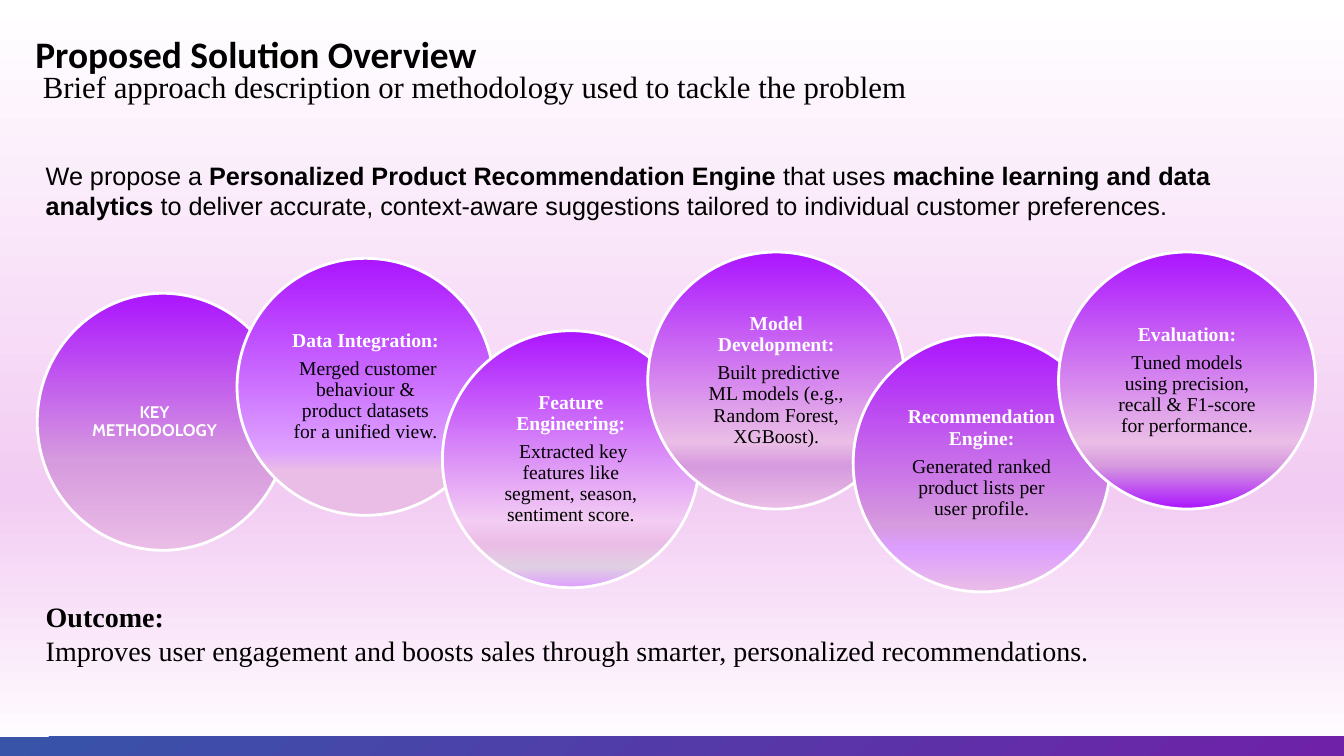
from lxml import etree
from pptx import Presentation
from pptx.dml.color import RGBColor
from pptx.enum import shapes, text
from pptx.oxml.ns import qn
from pptx.util import Pt


def color(value):
    return RGBColor.from_string(value)


def set_gradient(owner, stops, angle):
    """Fill a shape or background; angle runs clockwise, 90 from top to bottom."""
    owner.fill.gradient()
    owner.fill.gradient_angle = (360 - angle) % 360
    stop_list = next(owner._element.iter(qn("a:gsLst")))
    for old_stop in list(stop_list):
        stop_list.remove(old_stop)
    for percent, value in stops:
        stop = etree.SubElement(stop_list, qn("a:gs"), pos=str(percent * 1000))
        etree.SubElement(stop, qn("a:srgbClr"), val=value)


deck = Presentation()
deck.slide_width, deck.slide_height = Pt(960), Pt(540)
page = deck.slides.add_slide(deck.slide_layouts[5])
set_gradient(page.background, [(0, "FFFFFF"), (35, "F3CCF3"), (100, "FFFFFF")], 270)

bar = page.shapes.add_shape(shapes.MSO_SHAPE.RECTANGLE, Pt(0), Pt(526.3), Pt(960), Pt(13.7))
bar.shadow.inherit = False
bar.line.fill.background()
set_gradient(bar, [(0, "3754A9"), (100, "6F21A8")], 45)

# Title and subtitle
title = page.shapes.title
title.left, title.top, title.width, title.height = Pt(25.2), Pt(28.1), Pt(885), Pt(67)
frame = title.text_frame
frame.text = "Proposed Solution Overview\n Brief approach description or methodology used to tackle the problem"
frame.auto_size = text.MSO_AUTO_SIZE.NONE
frame.vertical_anchor = text.MSO_ANCHOR.TOP
frame.margin_left = frame.margin_top = frame.margin_bottom = 0
frame.margin_right = Pt(9.4)
title_fonts = [("Calibri", 26.7, True), ("Times New Roman", 22, False)]
for para, (name, size, bold) in zip(frame.paragraphs, title_fonts):
    para.alignment = text.PP_ALIGN.LEFT
    para.line_spacing = 0.8
    para.font.name, para.font.size, para.font.bold = name, Pt(size), bold
    para.font.color.rgb = color("000000")

# Chain of overlapping circles: top, gradient stops, heading, detail
steps = [
    (209.5, [(0, "AB15FF"), (65, "D69ADE"), (100, "EABDE6")], "KEY METHODOLOGY", None),
    (184.5, [(0, "AB15FF"), (74, "DD9FFF"), (83, "EABDE6"), (100, "EABDE6")],
     "Data Integration:", " Merged customer behaviour & product datasets for a unified view."),
    (236.2, [(0, "AB15FF"), (74, "F3CCF3"), (83, "EABDE6"), (92, "E0CFE3"), (100, "DD9FFF")],
     "Feature Engineering:", " Extracted key features like segment, season, sentiment score."),
    (180, [(0, "AB15FF"), (74, "EABDE6"), (83, "D69ADE"), (100, "EABDE6")],
     "Model Development:", " Built predictive ML models (e.g., Random Forest, XGBoost)."),
    (239.2, [(0, "AB15FF"), (74, "D69ADE"), (83, "DD9FFF"), (100, "EABDE6")],
     "Recommendation Engine:", "Generated ranked product lists per user profile."),
    (180, [(0, "AB15FF"), (74, "EABDE6"), (83, "D69ADE"), (100, "AB15FF")],
     "Evaluation:", "Tuned models using precision, recall & F1-score for performance."),
]
diameter, first_left, second_left, pitch = 183.6, 26.6, 169.3, 146.7
for index, (top, stops, heading, detail) in enumerate(steps):
    left = second_left + (index - 1) * pitch if index else first_left
    width = diameter if index else 179.3
    circle = page.shapes.add_shape(
        shapes.MSO_SHAPE.OVAL, Pt(left), Pt(top), Pt(width), Pt(diameter))
    circle.shadow.inherit = False
    set_gradient(circle, stops, 90)
    circle.line.color.rgb = color("FFFFFF")
    circle.line.width = Pt(2)

    frame = circle.text_frame
    frame.word_wrap = True
    frame.vertical_anchor = text.MSO_ANCHOR.MIDDLE
    frame.margin_left, frame.margin_right = (Pt(10), Pt(10)) if detail else (Pt(8.6), Pt(20.2))
    frame.margin_top = frame.margin_bottom = Pt(1.4)
    frame.text = f"{heading}\n{detail}" if detail else heading
    size = 14 if detail else 12
    for para, value in zip(frame.paragraphs, ["FFFFFF", "000000"]):
        para.alignment = text.PP_ALIGN.CENTER
        para.line_spacing = 0.9
        para.space_after = Pt(size * 0.35)
        para.font.name = "Times New Roman" if detail else "Cabin"
        para.font.size = Pt(size)
        para.font.bold = value == "FFFFFF"
        para.font.color.rgb = color(value)

# Statements above and below the chain: top, height, font, size, (words, bold) spans
statements = [
    (110.9, 51.1, "Arial", 18, [
        ("We propose a ", False),
        ("Personalized Product Recommendation Engine", True),
        (" that uses ", False),
        ("machine learning and data analytics", True),
        (" to deliver accurate, context-aware suggestions tailored to "
         "individual customer preferences.", False)]),
    (424.8, 55.4, "Times New Roman", 20, [
        ("Outcome:\v", True),
        ("Improves user engagement and boosts sales through smarter, "
         "personalized recommendations.", False)]),
]
for top, height, name, size, spans in statements:
    box = page.shapes.add_textbox(Pt(25.6), Pt(top), Pt(892), Pt(height))
    box.text_frame.word_wrap = True
    para = box.text_frame.paragraphs[0]
    para.font.name, para.font.size = name, Pt(size)
    para.font.color.rgb = color("000000")
    for words, bold in spans:
        span = para.add_run()
        span.text = words.rstrip("\v")
        span.font.bold = bold
        if words.endswith("\v"):
            para.add_line_break()

deck.save("out.pptx")
